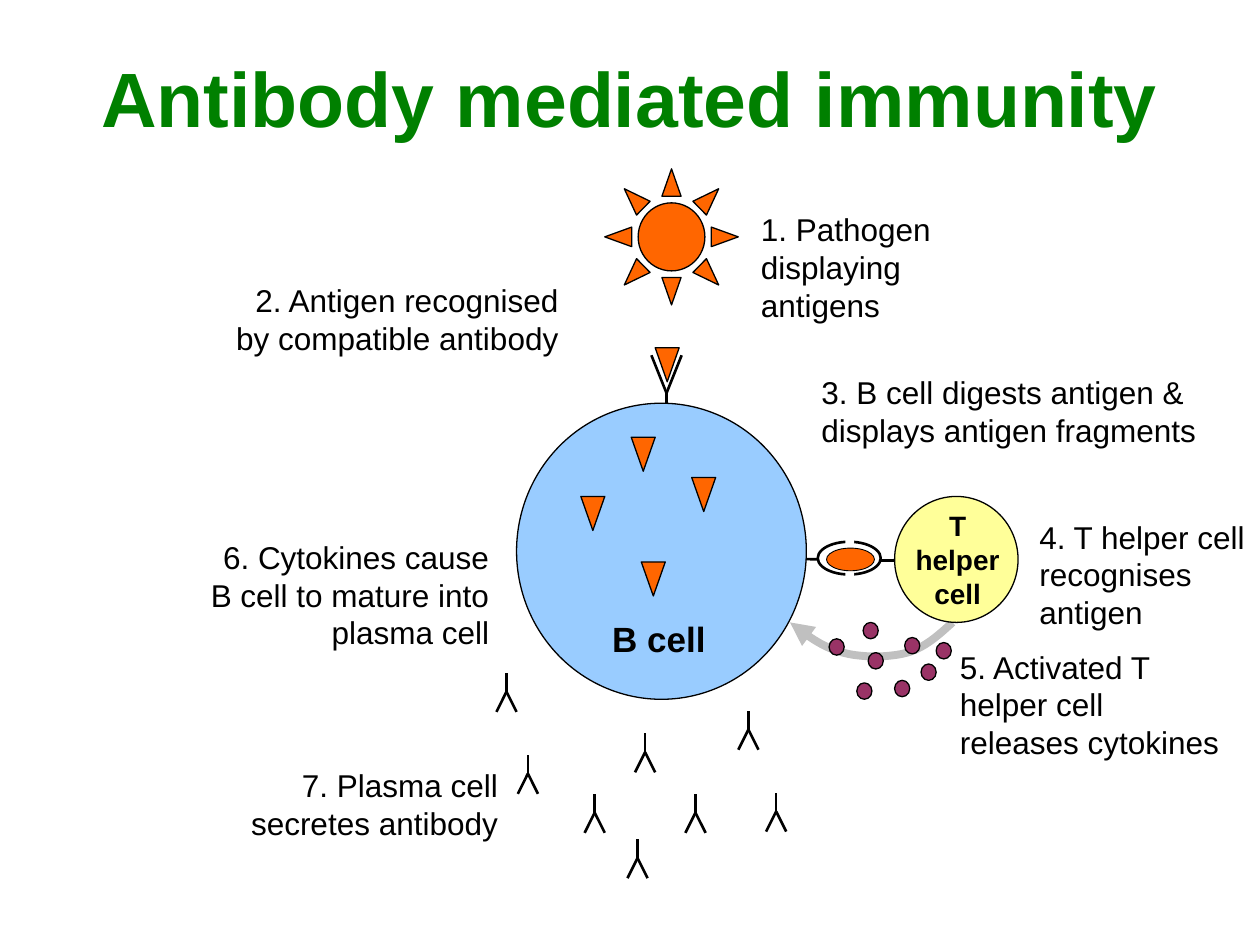
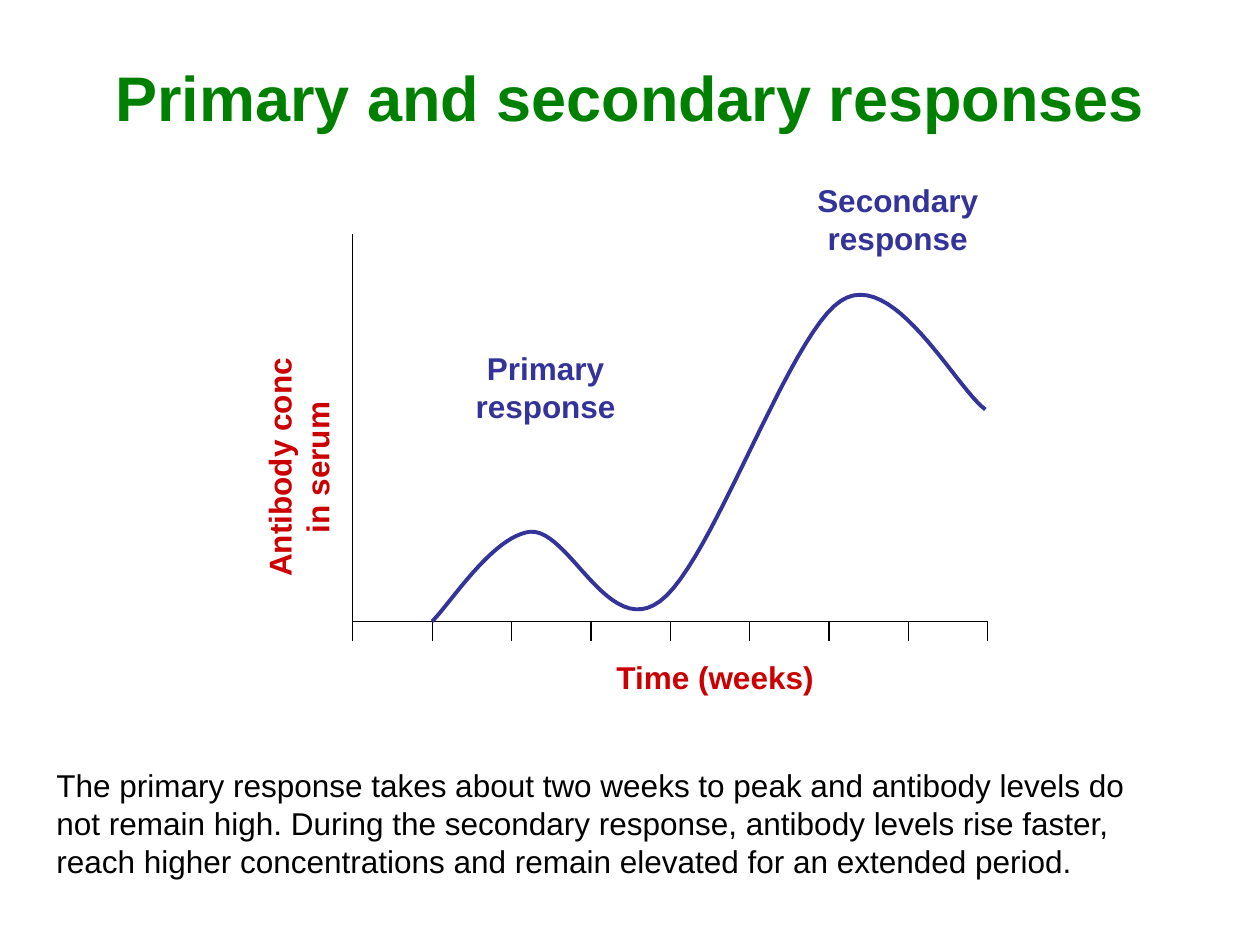
import pptx
import pptx.util
import pptx.dml.color
import pptx.enum.shapes
import pptx.enum.text
import pptx.oxml.ns
from lxml import etree

RGB = pptx.dml.color.RGBColor
KIND = pptx.enum.shapes.MSO_SHAPE
ALIGN = pptx.enum.text.PP_ALIGN
Pt = pptx.util.Pt

BLACK = RGB(0, 0, 0)
WHITE = RGB(0xFF, 0xFF, 0xFF)
GREEN = RGB(0, 0x80, 0)
ORANGE = RGB(0xFF, 0x66, 0)
BLUE = RGB(0x99, 0xCC, 0xFF)
YELLOW = RGB(0xFF, 0xFF, 0x99)
PLUM = RGB(0x99, 0x33, 0x66)
GREY = RGB(0xC0, 0xC0, 0xC0)
NAVY = RGB(0x33, 0x33, 0x99)
RED = RGB(0xCC, 0, 0)
FONT = "Arial"

# Grid of 100 columns and 75 rows over the slide
WIDTH = pptx.util.Inches(10)
HEIGHT = pptx.util.Inches(7.5)
COLS, ROWS = 100, 75


def grid(*spots):
    """Turn column, row, column, row ... into slide lengths."""
    units = (WIDTH / COLS, HEIGHT / ROWS)
    return [round(spot * units[i % 2]) for i, spot in enumerate(spots)]


def put_text(frame, text, size, color, bold, align):
    para = frame.paragraphs[0]
    para.alignment = align
    run = para.add_run()
    run.text = text
    run.font.name = FONT
    run.font.size = Pt(size)
    run.font.bold = bold
    run.font.color.rgb = color


def add_slide(deck, text, size):
    slide = deck.slides.add_slide(deck.slide_layouts[5])
    title = slide.shapes.title
    title.left, title.top, title.width, title.height = grid(5, 3, 90, 9.3)
    frame = title.text_frame
    frame.auto_size = pptx.enum.text.MSO_AUTO_SIZE.NONE
    frame.vertical_anchor = pptx.enum.text.MSO_ANCHOR.MIDDLE
    put_text(frame, text, size, GREEN, True, ALIGN.CENTER)
    return slide


def add_label(slide, box, text, align=ALIGN.LEFT, size=18, color=BLACK, bold=False):
    label = slide.shapes.add_textbox(*grid(*box))
    label.text_frame.word_wrap = True
    put_text(label.text_frame, text, size, color, bold, align)
    return label


def add_form(shapes, kind, box, fill, line=0.75):
    form = shapes.add_shape(kind, *grid(*box))
    form.shadow.inherit = False
    form.fill.solid()
    form.fill.fore_color.rgb = fill
    if line:
        form.line.color.rgb = BLACK
        form.line.width = Pt(line)
    else:
        form.line.fill.background()
    return form


def add_line(shapes, start, end, width):
    line = shapes.add_connector(
        pptx.enum.shapes.MSO_CONNECTOR.STRAIGHT, *grid(*start, *end))
    line.line.color.rgb = BLACK
    line.line.width = Pt(width)
    props = line._element.spPr
    etree.SubElement(props, pptx.oxml.ns.qn("a:effectLst"))


def add_curve(shapes, knots, color, width, steps=24):
    """Draw joined cubic curves: start, then two handles and an end for each."""
    dots = []
    for i in range(0, len(knots) - 1, 3):
        a, b, c, d = knots[i:i + 4]
        for step in range(1, steps + 1):
            t = step / steps
            u = 1 - t
            mix = (u ** 3, 3 * u * u * t, 3 * u * t * t, t ** 3)
            dots.append(grid(*(sum(m * p for m, p in zip(mix, axis))
                               for axis in zip(a, b, c, d))))
    maker = shapes.build_freeform(*grid(*knots[0]), scale=1.0)
    maker.add_line_segments(dots, close=False)
    curve = maker.convert_to_shape()
    curve.shadow.inherit = False
    curve.fill.background()
    curve.line.color.rgb = color
    curve.line.width = Pt(width)
    return curve


def add_arrow(shapes, knots, color, width):
    arrow = add_curve(shapes, knots, color, width)
    line = arrow.line._get_or_add_ln()
    etree.SubElement(line, pptx.oxml.ns.qn("a:tailEnd"), type="triangle")


def add_body(shapes, x, y, stem=-1.5, spread=0.8, reach=1.6):
    """Antibody: a stem and two arms that meet at x, y."""
    add_line(shapes, (x, y), (x, y + stem), 1.5)
    for side in (-spread, spread):
        add_line(shapes, (x, y), (x + side, y + reach), 1.5)


def add_wedge(shapes, x, y):
    wedge = add_form(shapes, KIND.ISOSCELES_TRIANGLE, (x, y, 1.9, 2.7), ORANGE)
    wedge.rotation = 180


def draw_cells(deck):
    slide = add_slide(deck, "Antibody mediated immunity", 44)
    shapes = slide.shapes.add_group_shape().shapes

    # Cytokine path and links between the cells
    add_arrow(shapes, [(75.6, 49.4), (74.5, 50.4), (73.4, 51.4), (72, 51.8),
                       (70.5, 52.2), (68.4, 52.2), (66.9, 51.8),
                       (65.3, 51.4), (64, 50.4), (62.7, 49.4)], GREY, 4.5)
    add_line(shapes, (69.9, 44.5), (74.3, 44.5), 1.5)
    add_line(shapes, (65.1, 44.4), (60.7, 44.3), 1.5)

    # Pathogen, bound antigen and B cell
    add_body(shapes, 52.9, 31.2, stem=4.5, spread=1.2, reach=-3)
    add_form(shapes, KIND.SUN, (48, 13.4, 10.6, 10.8), ORANGE)
    add_wedge(shapes, 52, 27.6)
    add_form(shapes, KIND.OVAL, (41, 32, 23, 23.5), BLUE)
    for x, y in ((46.1, 39.4), (54.9, 37.9), (50.9, 44.6), (50.1, 34.7)):
        add_wedge(shapes, x, y)

    # T helper cell, secreted antibodies and cytokines
    add_form(shapes, KIND.OVAL, (71, 39.4, 9.8, 10), YELLOW)
    for x, y in ((50.6, 68.1), (47.2, 64.5), (61.6, 64.4), (40.2, 54.9),
                 (55.2, 64.5), (59.4, 57.9), (51.2, 59.7), (41.9, 61.4)):
        add_body(shapes, x, y)
    for x, y in ((68.9, 51.8), (71, 54), (65.8, 50.7), (73.1, 52.7),
                 (74.3, 51), (71.8, 50.6), (68.5, 49.4), (68, 54.2)):
        add_form(shapes, KIND.OVAL, (x, y, 1.2, 1.3), PLUM)

    # Receptors around the antigen fragment
    add_form(shapes, KIND.OVAL, (64.9, 43, 5, 2.6), WHITE, 1.5)
    add_form(shapes, KIND.RECTANGLE, (67.1, 42.1, 0.7, 4.2), WHITE, 0)
    add_form(shapes, KIND.OVAL, (65.6, 43.5, 3.8, 1.8), ORANGE, 0.5)

    # Cell names and numbered steps
    add_label(slide, (47.6, 48.5, 9.5, 4.4), "B cell", size=20, bold=True)
    add_label(slide, (71.3, 39.9, 9.4, 9), "T helper cell", ALIGN.CENTER, 16,
              bold=True)
    steps = (
        ((59.4, 16.2, 22, 10), "1. Pathogen displaying antigens", ALIGN.LEFT),
        ((16.9, 21.8, 28.4, 7),
         "2. Antigen recognised by compatible antibody", ALIGN.RIGHT),
        ((64.2, 29.1, 33.1, 7),
         "3. B cell digests antigen & displays antigen fragments", ALIGN.LEFT),
        ((81.5, 40.6, 18.5, 10),
         "4. T helper cell recognises antigen", ALIGN.LEFT),
        ((75.2, 50.9, 22.8, 10),
         "5. Activated T helper cell releases cytokines", ALIGN.LEFT),
        ((14.6, 42.2, 25.2, 10),
         "6. Cytokines cause B cell to mature into plasma cell", ALIGN.RIGHT),
        ((17.7, 60.3, 22.8, 7),
         "7. Plasma cell secretes antibody", ALIGN.RIGHT),
    )
    for box, text, align in steps:
        add_label(slide, box, text, align)


def draw_graph(deck):
    slide = add_slide(deck, "Primary and secondary responses", 36)
    shapes = slide.shapes

    # Axes with a tick for each week
    left, right, base, weeks = 28, 78.4, 49.3, 8
    add_line(shapes, (left, base), (right, base), 0.75)
    add_line(shapes, (left, 18.6), (left, base), 0.75)
    for week in range(weeks + 1):
        x = left + week * (right - left) / weeks
        add_line(shapes, (x, base), (x, base + 1.6), 0.75)

    # Antibody level
    add_curve(shapes, [(34.3, 49.3), (35.6, 48.1), (39.1, 42.5), (42.1, 42.2),
                       (45.2, 42), (48.3, 50.8), (52.4, 47.7),
                       (56.5, 44.7), (62.6, 26.6), (66.7, 23.9),
                       (70.8, 21.1), (75.8, 30.7), (78.2, 32.5)], NAVY, 2.25)

    # Labels
    names = (
        ((36.6, 27.2, 13.4, 7), "Primary response", NAVY, 0),
        ((61.8, 13.9, 18.9, 7), "Secondary response", NAVY, 0),
        ((46.9, 51.7, 19.7, 4), "Time (weeks)", RED, 0),
        ((13.8, 33.6, 19.7, 7), "Antibody conc in serum", RED, 270),
    )
    for box, text, color, turn in names:
        label = add_label(slide, box, text, ALIGN.CENTER, color=color, bold=True)
        label.rotation = turn
    add_label(slide, (3.5, 60.3, 90.6, 10),
              "The primary response takes about two weeks to peak and antibody "
              "levels do not remain high. During the secondary response, "
              "antibody levels rise faster, reach higher concentrations and "
              "remain elevated for an extended period.")


def main():
    deck = pptx.Presentation()
    deck.slide_width, deck.slide_height = WIDTH, HEIGHT
    draw_cells(deck)
    draw_graph(deck)
    deck.save("out.pptx")


if __name__ == "__main__":
    main()
